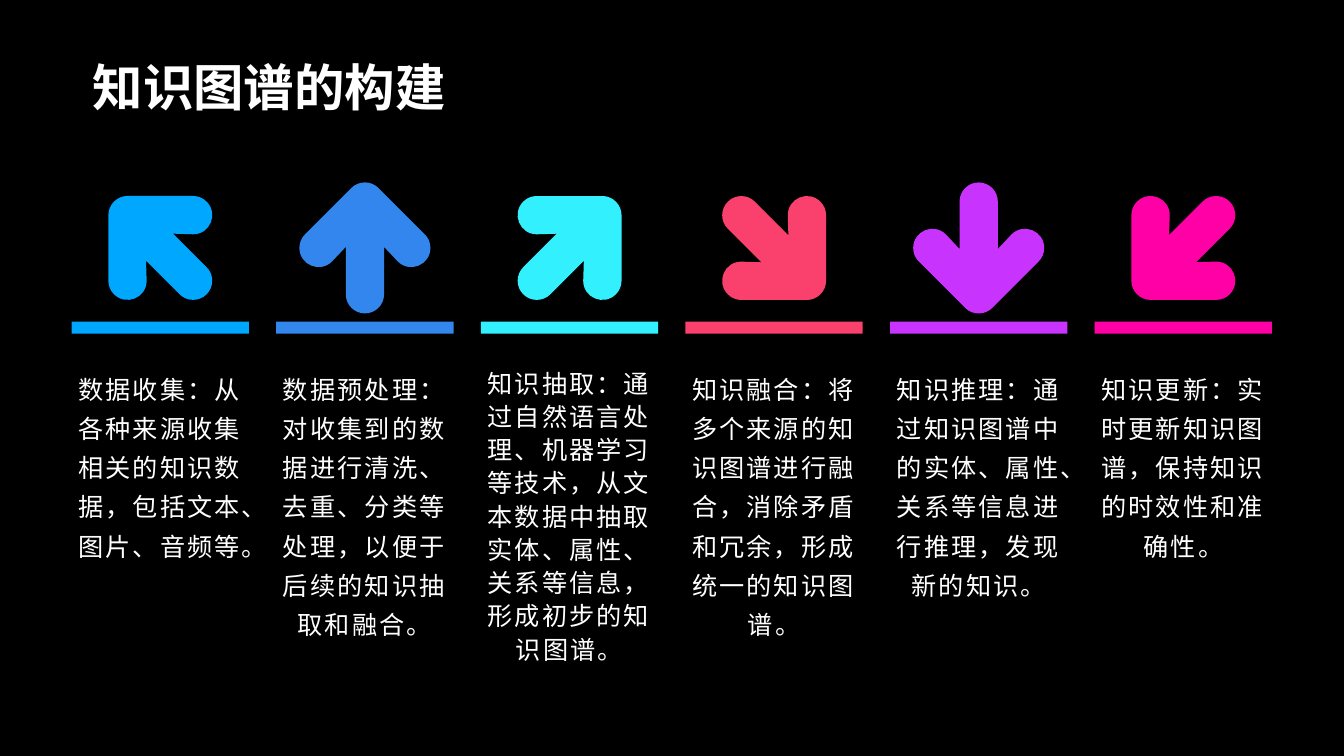
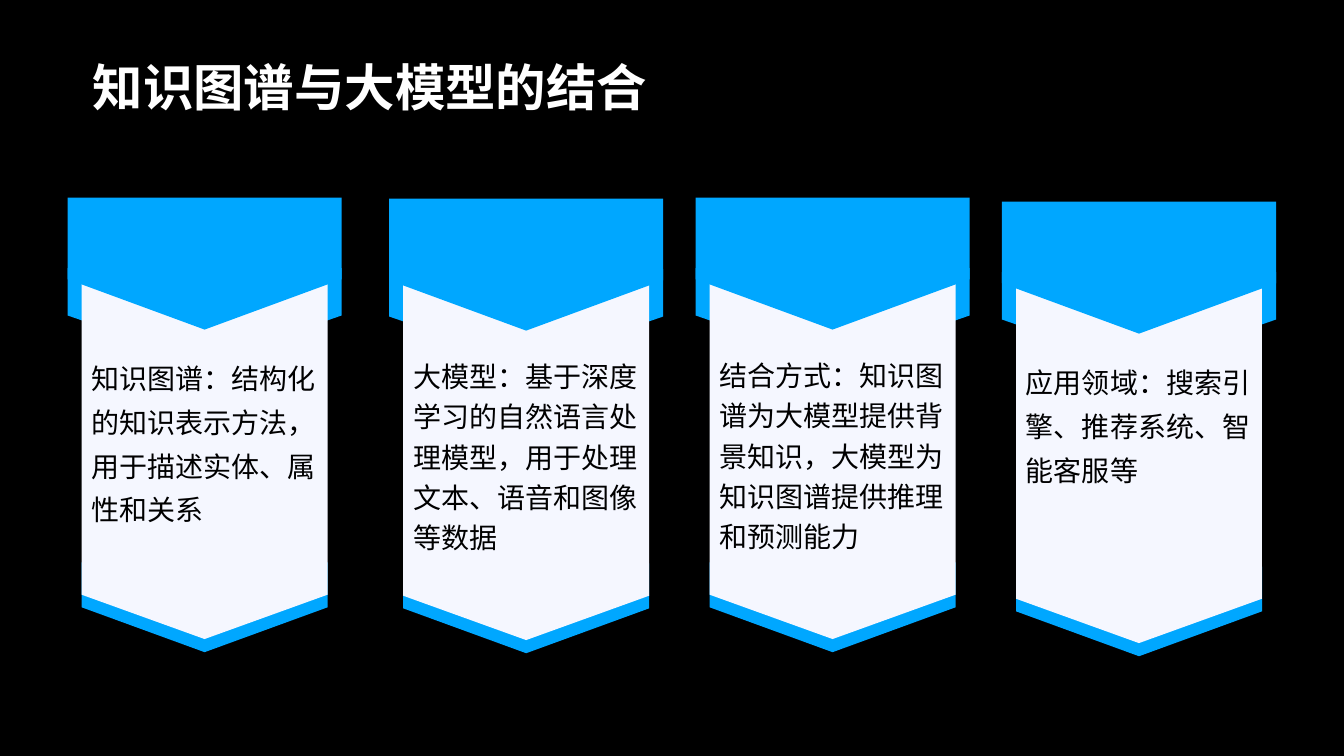
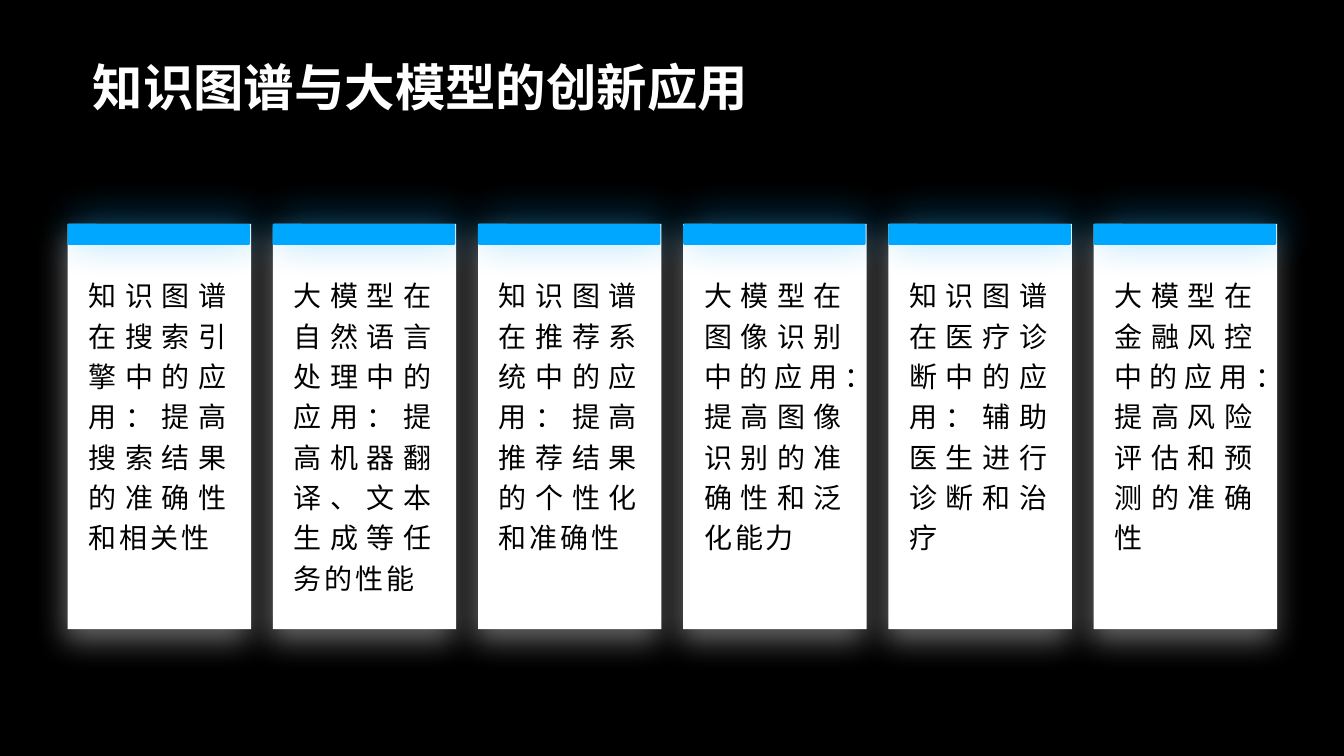
from dataclasses import dataclass
from math import cos, radians, sin, tan

from lxml import etree
from pptx import Presentation
from pptx.dml.color import RGBColor
from pptx.enum import shapes, text
from pptx.oxml import ns
from pptx.util import Inches, Pt


@dataclass(frozen=True)
class Theme:
    black: str = "000000"
    white: str = "FFFFFF"
    pale: str = "F5F7FF"
    blue: str = "00A7FF"
    hues: tuple = ("00A7FF", "3386ED", "33F0FF", "FA406C", "C933FE", "FF00A7")
    head: str = "Arial"
    body: str = "Noto Sans CJK SC"
    big: int = 36
    mid: int = 20
    small: int = 18


theme = Theme()
kind = shapes.MSO_SHAPE
side = text.PP_ALIGN


def write(box, words, size, hue, font=theme.body, bold=False, align=side.LEFT,
          line=1.0, space=0, anchor=text.MSO_ANCHOR.TOP):
    frame = box.text_frame
    frame.word_wrap = True
    frame.auto_size = text.MSO_AUTO_SIZE.NONE
    frame.vertical_anchor = anchor
    para = frame.paragraphs[0]
    para.alignment = align
    para.line_spacing = line
    run = para.add_run()
    run.text = words
    run.font.size = Pt(size)
    run.font.bold = bold
    run.font.name = font
    run.font.color.rgb = RGBColor.from_string(hue)
    props = run._r.get_or_add_rPr()
    props.set("lang", "zh-CN")
    if space:
        props.set("spc", str(int(space * 100)))
    props.find(ns.qn("a:latin")).addnext(
        etree.Element(ns.qn("a:ea"), typeface=font))


def paint(shape, hue, glow=None):
    shape.shadow.inherit = False
    shape.fill.solid()
    shape.fill.fore_color.rgb = RGBColor.from_string(hue)
    shape.line.fill.background()
    if glow:
        alpha, blur, dist, angle = glow
        effects = shape._element.spPr.find(ns.qn("a:effectLst"))
        cast = etree.SubElement(
            effects, ns.qn("a:outerShdw"), blurRad=str(Pt(blur)), dist=str(Pt(dist)),
            dir=str(angle * 60000), algn="ctr", rotWithShape="0")
        tint = etree.SubElement(cast, ns.qn("a:srgbClr"), val=hue)
        etree.SubElement(tint, ns.qn("a:alpha"), val=str(alpha * 1000))


deck = Presentation()
deck.slide_width, deck.slide_height = Inches(40 / 3), Inches(7.5)
ground = deck.slide_master.background.fill
ground.solid()
ground.fore_color.rgb = RGBColor.from_string(theme.black)

layout = deck.slide_layouts[5]
spot = layout.placeholders[0]
spot.left, spot.top, spot.width, spot.height = map(Inches, (0.92, 0.39, 11.5, 0.94))
frame = spot.text_frame
frame.margin_left = frame.margin_right = frame.margin_top = frame.margin_bottom = 0

pages = []
for name in ("知识图谱的构建", "知识图谱与大模型的结合", "知识图谱与大模型的创新应用"):
    page = deck.slides.add_slide(layout)
    write(page.shapes.title, name, theme.big, theme.white, font=theme.head,
          bold=True, anchor=text.MSO_ANCHOR.MIDDLE)
    pages.append(page.shapes)
build, blend, apply = pages

steps = (
    (45, 1.3, "数据收集：从各种来源收集相关的知识数据，包括文本、图片、音频等。"),
    (90, 1.3, "数据预处理：对收集到的数据进行清洗、去重、分类等处理，以便于后续的知识抽取和融合。"),
    (135, 1.1, "知识抽取：通过自然语言处理、机器学习等技术，从文本数据中抽取实体、属性、关系等信息，形成初步的知识图谱。"),
    (225, 1.3, "知识融合：将多个来源的知识图谱进行融合，消除矛盾和冗余，形成统一的知识图谱。"),
    (270, 1.3, "知识推理：通过知识图谱中的实体、属性、关系等信息进行推理，发现新的知识。"),
    (315, 1.3, "知识更新：实时更新知识图谱，保持知识的时效性和准确性。"),
)
reach, bend = 0.46, 0.19
arrow, curves = [], []
for x, y, turns in ((-reach, 0, (-225, -180, -135)), (0, -reach, (-135, -90, 45)),
                    (reach, 0, (-90, 0, 90)), (0, reach, (-45, 90, 135))):
    if y > 0:
        arrow.append((-0.01, bend))
    a = radians(turns[0])
    arrow.append((x + bend * cos(a), y + bend * sin(a)))
    for a, b in zip(turns, turns[1:]):
        a, b = radians(a), radians(b)
        pull = 4 / 3 * tan((b - a) / 4)
        curves.append(len(arrow))
        for p, q in ((cos(a) - pull * sin(a), sin(a) + pull * cos(a)),
                     (cos(b) + pull * sin(b), sin(b) - pull * cos(b)),
                     (cos(b), sin(b))):
            arrow.append((x + bend * p, y + bend * q))
    if y < 0:
        arrow.append((-0.01, -bend))

for i, ((turn, line, words), hue) in enumerate(zip(steps, theme.hues)):
    left = 0.67 + 2.03 * i
    dots = [(Inches(left + 0.92 + x), Inches(2.46 + y)) for x, y in arrow]
    pen = build.build_freeform(*dots[0])
    pen.add_line_segments(dots[1:], close=True)
    sign = pen.convert_to_shape()
    route = next(sign._element.iter(ns.qn("a:path")))
    nodes = list(route)
    for k in curves:
        curve = etree.Element(ns.qn("a:cubicBezTo"))
        nodes[k].addprevious(curve)
        for node in nodes[k:k + 3]:
            curve.append(node[0])
            route.remove(node)
    sign.rotation = turn
    paint(sign, hue)
    box = build.add_textbox(Inches(left), Inches(3.57), Inches(1.84), Inches(3.09))
    write(box, words, theme.small, theme.white, align=side.CENTER, line=line, space=1.5)
    bar = build.add_shape(kind.RECTANGLE, Inches(left + 0.04), Inches(3.19),
                          Inches(1.76), Inches(0.12))
    paint(bar, hue)

cards = (
    (0.67, 1.96, 1.3, "知识图谱：结构化的知识表示方法，用于描述实体、属性和关系"),
    (3.86, 1.97, 1.2, "大模型：基于深度学习的自然语言处理模型，用于处理文本、语音和图像等数据"),
    (6.9, 1.96, 1.2, "结合方式：知识图谱为大模型提供背景知识，大模型为知识图谱提供推理和预测能力"),
    (9.94, 2, 1.3, "应用领域：搜索引擎、推荐系统、智能客服等"),
)
for left, top, line, words in cards:
    mid = left + 1.36
    for drop, wide, tall in ((0.7, 2.72, 0.94), (3.62, 2.44, 0.89)):
        plate = blend.add_shape(
            kind.PENTAGON, Inches(mid - tall / 2),
            Inches(top + drop + (tall - wide) / 2), Inches(tall), Inches(wide))
        plate.rotation = 90
        paint(plate, theme.blue)
    for drop, wide, edge, tip, hue in ((0.7, 2.44, 3.24, 3.68, theme.pale),
                                       (0, 2.72, 0.81, 1.31, theme.blue)):
        half = wide / 2
        dots = [(Inches(mid + x), Inches(top + drop + y)) for x, y in (
            (-half, 0), (half, 0), (half, edge), (0, tip), (-half, edge))]
        pen = blend.build_freeform(*dots[0])
        pen.add_line_segments(dots[1:], close=True)
        paint(pen.convert_to_shape(), hue)
    box = blend.add_textbox(Inches(left + 0.14), Inches(top + 1.48),
                            Inches(2.44), Inches(2.2))
    write(box, words, theme.mid, theme.black, line=line)

uses = (
    "知识图谱在搜索引擎中的应用：提高搜索结果的准确性和相关性",
    "大模型在自然语言处理中的应用：提高机器翻译、文本生成等任务的性能",
    "知识图谱在推荐系统中的应用：提高推荐结果的个性化和准确性",
    "大模型在图像识别中的应用：提高图像识别的准确性和泛化能力",
    "知识图谱在医疗诊断中的应用：辅助医生进行诊断和治疗",
    "大模型在金融风控中的应用：提高风险评估和预测的准确性",
)
panes = (
    (1.82, 4.02, 0, theme.white, (40, 22, 9, 106)),
    (1.81, 0.21, 0.08, theme.blue, (45, 30, 5, 315)),
)
pitch = (10.85 - 0.67) / (len(uses) - 1)
for i, words in enumerate(uses):
    left = 0.67 + pitch * i
    for wide, tall, curve, hue, glow in panes:
        pane = apply.add_shape(kind.ROUNDED_RECTANGLE, Inches(left), Inches(2.22),
                               Inches(wide), Inches(tall))
        pane.adjustments[0] = curve
        paint(pane, hue, glow)
    box = apply.add_textbox(Inches(left + 0.11), Inches(2.65), Inches(1.59), Inches(3.56))
    write(box, words, theme.mid, theme.black, align=side.JUSTIFY, line=1.2, space=2)

deck.save("out.pptx")
